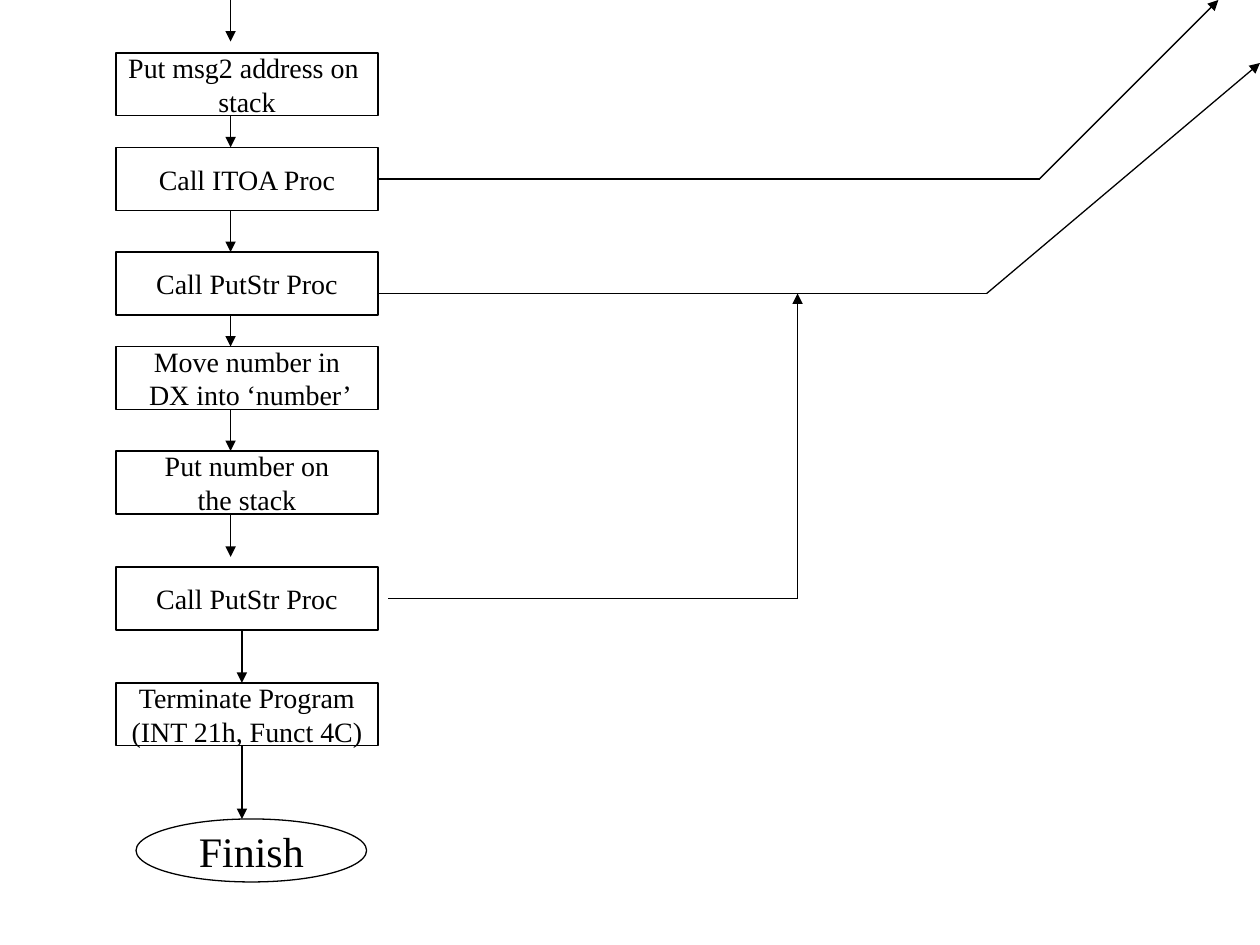
from lxml import etree
from pptx import Presentation
from pptx.dml.color import RGBColor
from pptx.enum.shapes import MSO_CONNECTOR, MSO_SHAPE
from pptx.enum.text import MSO_ANCHOR, PP_ALIGN
from pptx.oxml.ns import qn
from pptx.util import Inches, Pt

RECTANGLE, OVAL = MSO_SHAPE.RECTANGLE, MSO_SHAPE.OVAL
STRAIGHT = MSO_CONNECTOR.STRAIGHT
MIDDLE, CENTER = MSO_ANCHOR.MIDDLE, PP_ALIGN.CENTER

COLORS = {"paper": "FFFFFF", "ink": "000000"}
FONT = "Times New Roman"
LINE_WIDTH = Pt(0.75)
STEP_HEIGHT = 0.5
STEPS = [
    (0.42, ["Put msg2 address on ", "stack"]),
    (1.17, ["Call ITOA Proc"]),
    (2, ["Call PutStr Proc"]),
    (2.75, ["Move number in", " DX into ‘number’"]),
    (3.58, ["Put number on", "the stack"]),
    (4.5, ["Call PutStr Proc"]),
    (5.42, ["Terminate Program", "(INT 21h, Funct 4C)"]),
]
FINISH_TOP = 6.5


def color(name):
    return RGBColor.from_string(COLORS[name])


def add_node(slide, kind, box, lines, size):
    node = slide.shapes.add_shape(kind, *map(Inches, box))
    node.shadow.inherit = False
    node.fill.solid()
    node.fill.fore_color.rgb = color("paper")
    node.line.color.rgb = color("ink")
    node.line.width = LINE_WIDTH
    frame = node.text_frame
    frame.word_wrap = False
    frame.vertical_anchor = MIDDLE
    for index, line in enumerate(lines):
        paragraph = frame.add_paragraph() if index else frame.paragraphs[0]
        paragraph.text = line
        paragraph.alignment = CENTER
        paragraph.font.name = FONT
        paragraph.font.size = Pt(size)
        paragraph.font.color.rgb = color("ink")


def add_route(slide, *points):
    for start, end in zip(points, points[1:]):
        segment = slide.shapes.add_connector(STRAIGHT, *map(Inches, start + end))
        segment.line.color.rgb = color("ink")
        segment.line.width = LINE_WIDTH
        properties = segment._element.spPr
        etree.SubElement(properties, qn("a:effectLst"))
    outline = properties.find(qn("a:ln"))
    etree.SubElement(outline, qn("a:tailEnd"), type="triangle")


def add_flow(slide, left, width):
    for top, lines in STEPS:
        add_node(slide, RECTANGLE, (left, top, width, STEP_HEIGHT), lines, 16)
    add_node(slide, OVAL, (1.08, FINISH_TOP, 1.83, STEP_HEIGHT), ["Finish"], 24)

    tops = [top for top, _ in STEPS] + [FINISH_TOP]
    bottoms = [0] + [top + STEP_HEIGHT for top, _ in STEPS]
    short_arrows = {0: 0.33, 5: 4.42}
    for index, (bottom, top) in enumerate(zip(bottoms, tops)):
        x = 1.83 if index < 6 else 1.92
        add_route(slide, (x, bottom), (x, short_arrows.get(index, top)))


def add_procedure_calls(slide, left):
    itoa_y, putstr_y, second_putstr_y = 1.42, 2.33, 4.75
    add_route(slide, (left, itoa_y), (8.25, itoa_y), (9.67, 0))
    add_route(slide, (left, putstr_y), (7.83, putstr_y), (10, 0.5))
    add_route(slide, (left + 0.08, second_putstr_y), (6.33, second_putstr_y), (6.33, putstr_y))


def main():
    presentation = Presentation()
    presentation.slide_width, presentation.slide_height = Inches(10), Inches(7.5)
    slide = presentation.slides.add_slide(presentation.slide_layouts[6])
    slide.background.fill.solid()
    slide.background.fill.fore_color.rgb = color("paper")
    flow_left, flow_width = 0.92, 2.08
    add_flow(slide, flow_left, flow_width)
    add_procedure_calls(slide, flow_left + flow_width)
    presentation.save("out.pptx")


if __name__ == "__main__":
    main()
